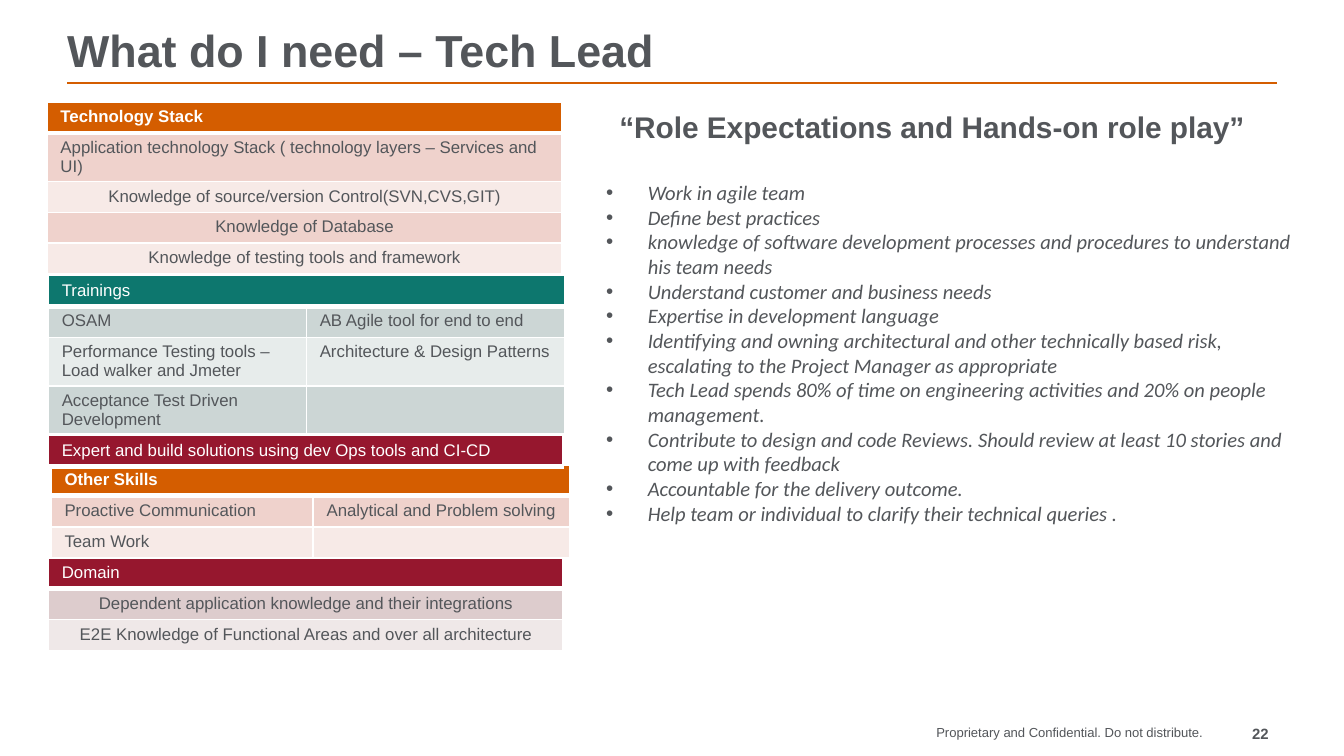
from lxml import etree
from pptx import Presentation
from pptx.dml.color import RGBColor
from pptx.enum.shapes import MSO_CONNECTOR
from pptx.enum.text import MSO_ANCHOR, MSO_AUTO_SIZE, PP_ALIGN
from pptx.oxml.ns import qn
from pptx.util import Inches, Pt

LEFT, CENTER, RIGHT = PP_ALIGN.LEFT, PP_ALIGN.CENTER, PP_ALIGN.RIGHT
TOP, MIDDLE, BOTTOM = MSO_ANCHOR.TOP, MSO_ANCHOR.MIDDLE, MSO_ANCHOR.BOTTOM
STRAIGHT = MSO_CONNECTOR.STRAIGHT
NO_AUTOFIT = MSO_AUTO_SIZE.NONE

WHITE = RGBColor(0xFF, 0xFF, 0xFF)
GRAY = RGBColor(0x53, 0x56, 0x5A)
ORANGE = RGBColor(0xD4, 0x5D, 0x00)
TEAL = RGBColor(0x0D, 0x77, 0x6E)
CRIMSON = RGBColor(0x96, 0x17, 0x2E)
ORANGE_BANDS = (RGBColor(0xEF, 0xD2, 0xCC), RGBColor(0xF7, 0xEA, 0xE7))
TEAL_BANDS = (RGBColor(0xCC, 0xD6, 0xD5), RGBColor(0xE7, 0xEC, 0xEB))
CRIMSON_BANDS = (RGBColor(0xDD, 0xCC, 0xCD), RGBColor(0xEF, 0xE8, 0xE8))

ROW, TALL_ROW = 0.23, 0.36
TABLE_SIZE = 9


class SlideBuilder:
    """Holds the slide and the style of its elements."""

    def __init__(self, slide, font="Arial", color=GRAY):
        self.slide = slide
        self.font = font
        self.color = color

    def format_text(self, paragraph, size, color=None, bold=False, italic=False, font=None):
        for run in paragraph.runs:
            run.font.name = font or self.font
            run.font.size = Pt(size)
            run.font.bold = bold
            run.font.italic = italic
            run.font.color.rgb = color or self.color

    def set_frame(self, text_frame, anchor, insets=(0, 0)):
        text_frame.word_wrap = True
        text_frame.auto_size = NO_AUTOFIT
        text_frame.vertical_anchor = anchor
        text_frame.margin_left = text_frame.margin_right = Inches(insets[0])
        text_frame.margin_top = text_frame.margin_bottom = Inches(insets[1])

    def place(self, shape, left, top, width, height):
        shape.left, shape.top = Inches(left), Inches(top)
        shape.width, shape.height = Inches(width), Inches(height)

    def title(self, text, box, size):
        shape = self.slide.shapes.title
        self.place(shape, *box)
        self.set_frame(shape.text_frame, BOTTOM)
        shape.text_frame.text = text
        paragraph = shape.text_frame.paragraphs[0]
        paragraph.alignment = LEFT
        self.format_text(paragraph, size, bold=True)

    def bullet_list(self, items, box, size, indent):
        shape = self.slide.placeholders[1]
        self.place(shape, *box)
        self.set_frame(shape.text_frame, TOP)
        shape.text_frame.text = "\n".join(items)
        for paragraph in shape.text_frame.paragraphs:
            paragraph.space_before = Pt(0)
            properties = paragraph._p.get_or_add_pPr()
            properties.set("marL", str(Inches(indent)))
            properties.set("indent", str(-Inches(indent)))
            font = etree.SubElement(properties, qn("a:buFont"))
            font.set("typeface", "Arial")
            etree.SubElement(properties, qn("a:buChar")).set("char", "•")
            self.format_text(paragraph, size, italic=True, font="Calibri")

    def text(self, text, box, size, bold=False, align=LEFT, anchor=TOP, insets=(0, 0)):
        shape = self.slide.shapes.add_textbox(*map(Inches, box))
        self.set_frame(shape.text_frame, anchor, insets)
        shape.text_frame.text = text
        paragraph = shape.text_frame.paragraphs[0]
        paragraph.alignment = align
        self.format_text(paragraph, size, bold=bold)

    def rule(self, left, right, y, color):
        line = self.slide.shapes.add_connector(
            STRAIGHT, Inches(left), Inches(y), Inches(right), Inches(y))
        line.line.color.rgb = color
        line.line.width = Pt(1)
        etree.SubElement(line._element.spPr, qn("a:effectLst"))

    def border(self, cell, side, points):
        line = etree.SubElement(cell._tc.get_or_add_tcPr(), qn(f"a:{side}"))
        line.set("w", str(Pt(points)))
        fill = etree.SubElement(line, qn("a:solidFill"))
        etree.SubElement(fill, qn("a:srgbClr")).set("val", str(WHITE))

    def cell(self, cell, text, fill, color, bold, align, bottom_border):
        cell.margin_left = cell.margin_right = Inches(0.1)
        cell.margin_top = cell.margin_bottom = Inches(0.04)
        for side in ("lnL", "lnR", "lnT"):
            self.border(cell, side, 1)
        self.border(cell, "lnB", bottom_border)
        cell.fill.solid()
        cell.fill.fore_color.rgb = fill
        if text:
            cell.text_frame.text = text
            paragraph = cell.text_frame.paragraphs[0]
            paragraph.alignment = align
            self.format_text(paragraph, TABLE_SIZE, color, bold)
        else:
            # Keeps an empty cell from stretching its row
            paragraph = cell.text_frame.paragraphs[0]
            end = etree.SubElement(paragraph._p, qn("a:endParaRPr"))
            end.set("sz", str(TABLE_SIZE * 100))

    def table(self, left, top, columns, header, header_fill, rows=(), bands=(),
              bold=False, tall=(), centered=()):
        """Rows are numbered from the header, which is row 0."""
        heights = [TALL_ROW if i in tall else ROW for i in range(len(rows) + 1)]
        frame = self.slide.shapes.add_table(
            len(heights), len(columns), Inches(left), Inches(top),
            Inches(sum(columns)), Inches(sum(heights)))
        table = frame.table
        for column, width in zip(table.columns, columns):
            column.width = Inches(width)
        for row, height in zip(table.rows, heights):
            row.height = Inches(height)
        for j in range(len(columns)):
            self.cell(table.cell(0, j), "" if j else header, header_fill,
                      WHITE, bold, LEFT, 3)
        if len(columns) > 1:
            table.cell(0, 0).merge(table.cell(0, len(columns) - 1))
        for i, texts in enumerate(rows, start=1):
            align = CENTER if i in centered else LEFT
            for j, text in enumerate(texts):
                self.cell(table.cell(i, j), text, bands[(i - 1) % 2],
                          self.color, False, align, 1)


def main():
    presentation = Presentation()
    # Widescreen, 16:9
    presentation.slide_width = Inches(10)
    presentation.slide_height = Inches(10) * 9 // 16
    slide = presentation.slides.add_slide(presentation.slide_layouts[1])
    builder = SlideBuilder(slide)

    # Title and footer
    builder.rule(0.5, 9.5, 0.62, ORANGE)
    builder.text("Proprietary and Confidential. Do not distribute.",
                 (5.25, 5.39, 3.7, 0.17), 7, align=RIGHT)
    builder.text("22", (8.94, 5.39, 0.5, 0.17), 8, bold=True, align=RIGHT)
    builder.title("What do I need – Tech Lead", (0.5, 0.16, 9, 0.41), 24)

    # Skill tables
    builder.table(0.35, 0.76, [3.83], "Technology Stack", ORANGE, [
        ["Application technology Stack ( technology layers – Services and UI)"],
        ["Knowledge of source/version Control(SVN,CVS,GIT)"],
        ["Knowledge of Database"],
        ["Knowledge of testing tools and framework"],
    ], ORANGE_BANDS, bold=True, tall=(1,), centered=(2, 3, 4))
    builder.table(0.36, 2.05, [1.92, 1.92], "Trainings", TEAL, [
        ["OSAM", "AB Agile tool for end to end"],
        ["Performance Testing tools – Load walker and Jmeter",
         "Architecture & Design Patterns"],
        ["Acceptance Test Driven Development", ""],
    ], TEAL_BANDS, tall=(2, 3))
    builder.table(0.36, 4.15, [3.83], "Domain", CRIMSON, [
        ["Dependent application knowledge and their integrations"],
        ["E2E Knowledge of Functional Areas and over all architecture"],
    ], CRIMSON_BANDS, centered=(1, 2))
    builder.table(0.38, 3.46, [1.95, 1.91], "Other Skills", ORANGE, [
        ["Proactive Communication", "Analytical and Problem solving"],
        ["Team Work", ""],
    ], ORANGE_BANDS, bold=True)
    builder.table(0.36, 3.24, [3.83],
                  "Expert and build solutions using dev Ops tools and CI-CD", CRIMSON)

    # Role expectations
    builder.text("“Role Expectations and Hands-on role play”",
                 (4.51, 0.76, 5.17, 0.37), 16, bold=True, anchor=MIDDLE, insets=(0.1, 0.05))
    builder.bullet_list([
        "Work in agile team",
        "Define best practices",
        "knowledge of software development processes and procedures to understand his team needs",
        "Understand customer and business needs",
        "Expertise in development language",
        "Identifying and owning architectural and other technically based risk, "
        "escalating to the Project Manager as appropriate",
        "Tech Lead spends 80% of time on engineering activities and 20% on people management.",
        "Contribute to design and code Reviews. Should review at least 10 stories "
        "and come up with feedback",
        "Accountable for the delivery outcome.",
        "Help team or individual to clarify their technical queries .",
    ], (4.51, 1.34, 5.15, 3.15), 11, 0.31)

    presentation.save("out.pptx")


if __name__ == "__main__":
    main()
